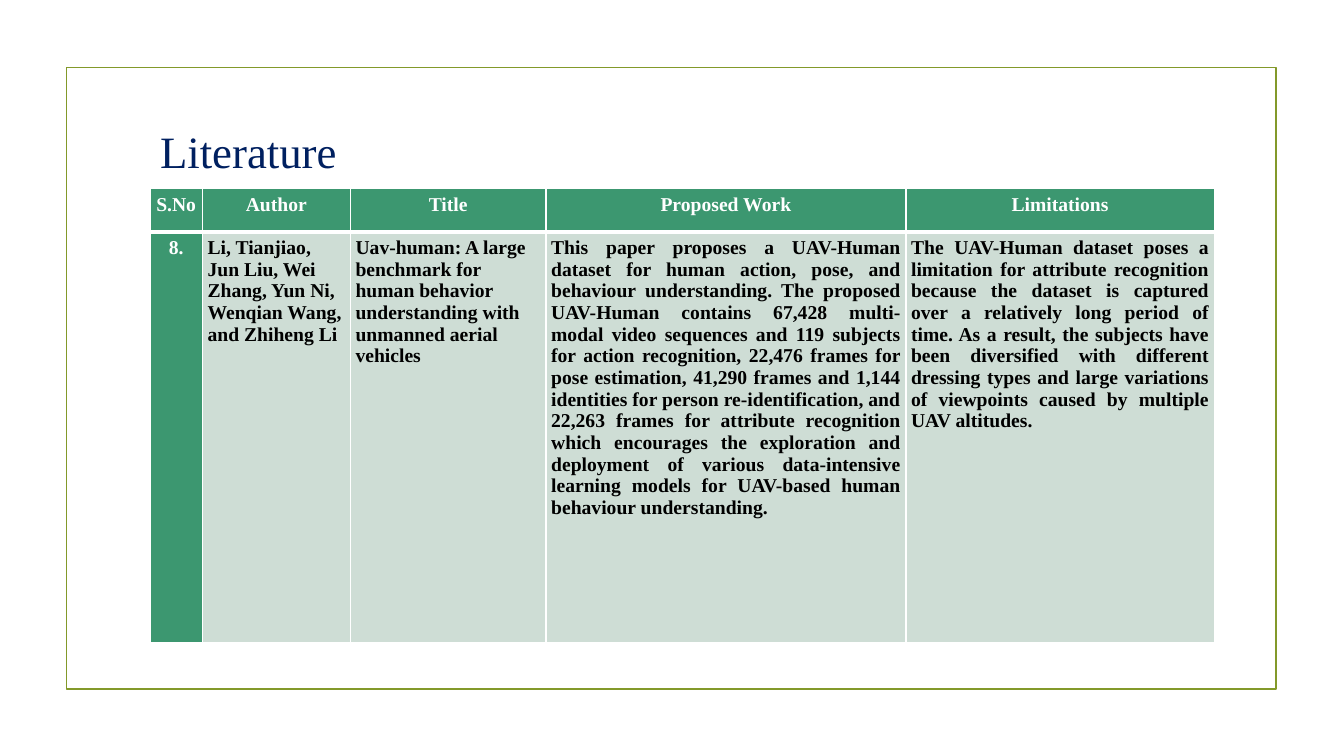
"""Build the literature slide with its framed comparison table."""
from dataclasses import dataclass

from lxml import etree
from pptx import Presentation
from pptx.dml.color import RGBColor
from pptx.enum.shapes import MSO_SHAPE
from pptx.enum.text import MSO_ANCHOR, MSO_AUTO_SIZE, PP_ALIGN
from pptx.oxml.ns import qn
from pptx.util import Cm, Pt

RECTANGLE = MSO_SHAPE.RECTANGLE
TOP = MSO_ANCHOR.TOP
FIT_NONE = MSO_AUTO_SIZE.NONE
LEFT, CENTER, JUSTIFY = PP_ALIGN.LEFT, PP_ALIGN.CENTER, PP_ALIGN.JUSTIFY

FONT = "Times New Roman"
WHITE, BLACK, NAVY = "FFFFFF", "000000", "002060"
OLIVE, GREEN, PALE_GREEN = "83992A", "3C9770", "CEDDD5"
ROW_HEIGHTS = (1.09, 10.36)
CELL_MARGIN = 0.13
THIN, THICK = 1, 3


@dataclass(frozen=True)
class Column:
    """A table column with its heading and its entry."""

    heading: str
    width: float
    entry: str
    alignment: PP_ALIGN = LEFT
    fill: str = PALE_GREEN
    color: str = BLACK


COLUMNS = (
    Column("S.No", 1.32, "8.", CENTER, GREEN, WHITE),
    Column(
        "Author", 3.73,
        "Li, Tianjiao, Jun Liu, Wei Zhang, Yun Ni, Wenqian Wang, and Zhiheng Li",
    ),
    Column(
        "Title", 4.93,
        "Uav-human: A large benchmark for human behavior understanding "
        "with unmanned aerial vehicles",
    ),
    Column(
        "Proposed Work", 9.07,
        "This paper proposes a UAV-Human dataset for human action, pose, and "
        "behaviour understanding. The proposed UAV-Human contains 67,428 "
        "multi-modal video sequences and 119 subjects for action recognition, "
        "22,476 frames for pose estimation, 41,290 frames and 1,144 identities "
        "for person re-identification, and 22,263 frames for attribute "
        "recognition which encourages the exploration and deployment of various "
        "data-intensive learning models for UAV-based human behaviour "
        "understanding.",
        JUSTIFY,
    ),
    Column(
        "Limitations", 7.77,
        "The UAV-Human dataset poses a limitation for attribute recognition "
        "because the dataset is captured over a relatively long period of time. "
        "As a result, the subjects have been diversified with different dressing "
        "types and large variations of viewpoints caused by multiple UAV "
        "altitudes.",
        JUSTIFY,
    ),
)


def rgb(color: str) -> RGBColor:
    """Return the colour for a hex string."""
    return RGBColor.from_string(color)


def write(text_frame, text: str, size: float, color: str, alignment, bold=False) -> None:
    """Set the text of a frame and format its only paragraph."""
    text_frame.text = text
    paragraph = text_frame.paragraphs[0]
    paragraph.alignment = alignment
    font = paragraph.runs[0].font
    font.name, font.size, font.bold = FONT, Pt(size), bold
    font.color.rgb = rgb(color)


def add_frame(slide) -> None:
    """Draw the outline around the slide content."""
    frame = slide.shapes.add_shape(RECTANGLE, Cm(1.68), Cm(1.7), Cm(30.48), Cm(15.67))
    frame.shadow.inherit = False
    frame.fill.background()
    frame.line.color.rgb = rgb(OLIVE)
    frame.line.width = Pt(1.25)


def format_title(slide) -> None:
    """Place and format the title placeholder."""
    title = slide.shapes.title
    title.left, title.top, title.width, title.height = Cm(3.78), Cm(3), Cm(8.1), Cm(1.63)
    write(title.text_frame, "Literature", 32, NAVY, LEFT)
    title.text_frame.vertical_anchor = TOP
    title.text_frame.word_wrap = True
    title.text_frame.auto_size = FIT_NONE


def set_borders(cell, top: float, bottom: float) -> None:
    """Give a cell white borders, ahead of its fill."""
    properties = cell._tc.get_or_add_tcPr()
    widths = {"a:lnL": THIN, "a:lnR": THIN, "a:lnT": top, "a:lnB": bottom}
    for position, (tag, width) in enumerate(widths.items()):
        line = etree.Element(qn(tag), w=str(Pt(width)))
        fill = etree.SubElement(line, qn("a:solidFill"))
        etree.SubElement(fill, qn("a:srgbClr"), val=WHITE)
        properties.insert(position, line)


def fill_cell(cell, text: str, fill: str, color: str, alignment) -> None:
    """Write and format one table cell."""
    write(cell.text_frame, text, 14, color, alignment, bold=True)
    cell.text_frame.paragraphs[0].space_before = Pt(12)
    cell.vertical_anchor = TOP
    cell.margin_left = cell.margin_right = Cm(CELL_MARGIN)
    cell.margin_top = cell.margin_bottom = Cm(CELL_MARGIN)
    cell.fill.solid()
    cell.fill.fore_color.rgb = rgb(fill)


def add_literature_table(slide) -> None:
    """Add the table of reviewed papers."""
    width = sum(column.width for column in COLUMNS)
    table = slide.shapes.add_table(
        len(ROW_HEIGHTS), len(COLUMNS),
        Cm(3.78), Cm(4.75), Cm(width), Cm(sum(ROW_HEIGHTS)),
    ).table
    table.first_col = True
    for row, height in zip(table.rows, ROW_HEIGHTS):
        row.height = Cm(height)
    for index, column in enumerate(COLUMNS):
        table.columns[index].width = Cm(column.width)
        heading, entry = table.cell(0, index), table.cell(1, index)
        fill_cell(heading, column.heading, GREEN, WHITE, CENTER)
        fill_cell(entry, column.entry, column.fill, column.color, column.alignment)
        set_borders(heading, THIN, THICK)
        set_borders(entry, THICK, THIN)


def main() -> None:
    """Build and save the presentation."""
    presentation = Presentation()
    presentation.slide_width, presentation.slide_height = Cm(33.87), Cm(19.05)
    slide = presentation.slides.add_slide(presentation.slide_layouts.get_by_name("Title Only"))
    add_frame(slide)
    format_title(slide)
    add_literature_table(slide)
    presentation.save("out.pptx")


if __name__ == "__main__":
    main()
